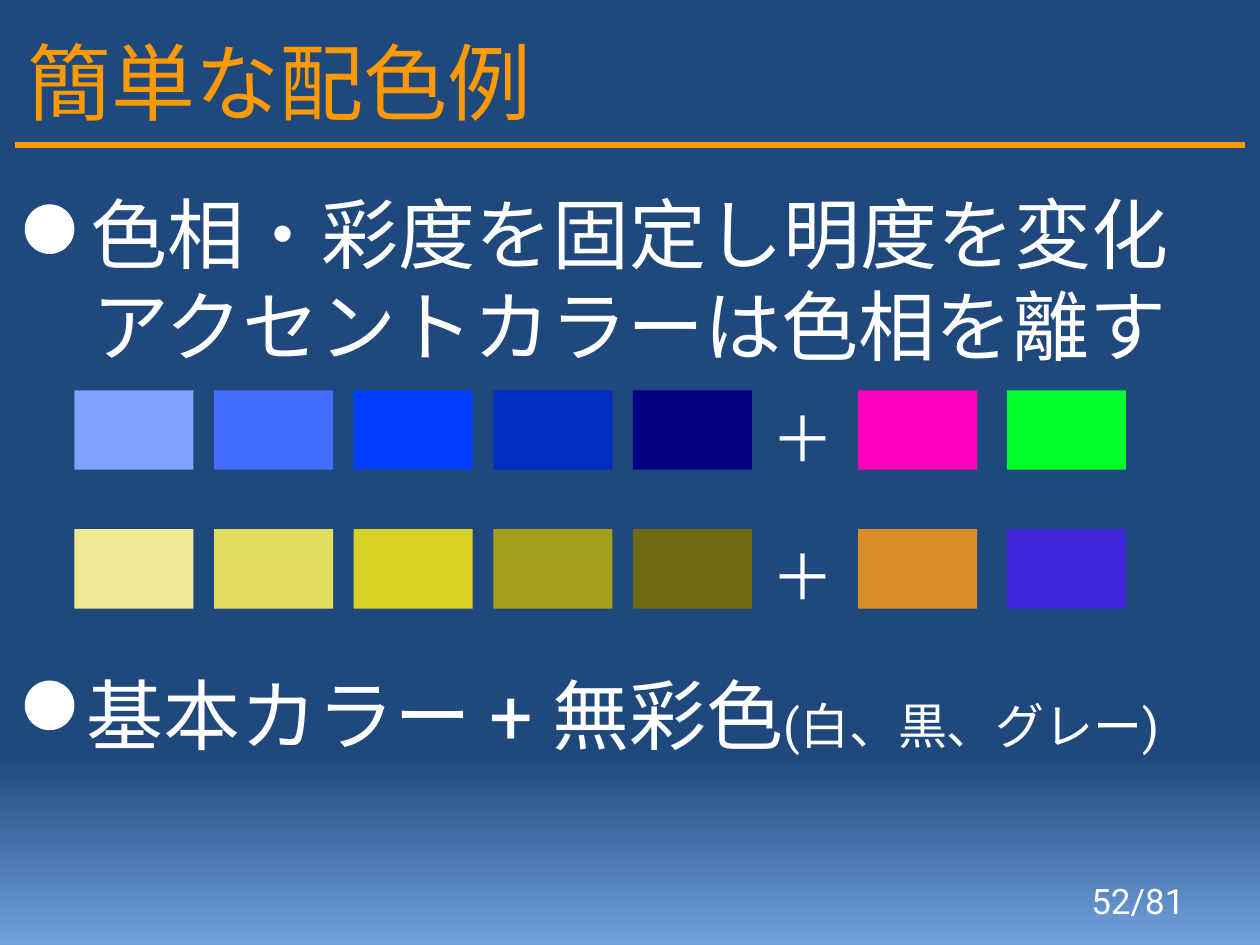
from typing import NamedTuple

from lxml import etree
from pptx import Presentation
from pptx.dml.color import RGBColor
from pptx.enum import shapes, text
from pptx.oxml import ns
from pptx.util import Cm, Pt

WHITE, ORANGE, NAVY, SKY = "FFFFFF", "FF9900", "1F497D", "71A1DC"
SWATCH_WIDTH, SWATCH_HEIGHT = 2.4, 1.6
SHADES_LEFT, SHADE_STEP = 1.5, 2.815
ACCENTS_LEFT, ACCENT_STEP = 17.3, 3.0
BULLET_LEFT, BULLET_SIZE = 0.5, 1.0


class Run(NamedTuple):
    wording: str
    size: float


class Label(NamedTuple):
    box: tuple[float, float, float, float]
    paragraphs: list[list[Run]]
    align: text.PP_ALIGN = text.PP_ALIGN.LEFT
    anchor: text.MSO_ANCHOR = text.MSO_ANCHOR.TOP


class Palette(NamedTuple):
    top: float
    shades: list[str]
    accents: list[str]


PALETTES = [
    Palette(7.87, ["819FFF", "416EFF", "013DFF", "002EC0", "000080"], ["FF01BC", "01FF2B"]),
    Palette(10.67, ["ECE894", "E3DD5D", "DAD126", "A49E1C", "6D6913"], ["DA8D26", "4026DA"]),
]
BULLET_TOPS = [4.12, 13.72]
LABELS = [
    Label((0.7, 3.63, 24, 4.01),
          [[Run("色相・彩度を固定し明度を変化", 44)],
           [Run("アクセントカラーは色相を離す", 44)]],
          text.PP_ALIGN.CENTER),
    Label((1.5, 13.34, 23.2, 2.13),
          [[Run("基本カラー + 無彩色", 44), Run("(白、黒、グレー)", 28)]]),
    Label((18.2, 17.65, 5.93, 1.02), [[Run("52/81", 20)]],
          text.PP_ALIGN.RIGHT, text.MSO_ANCHOR.MIDDLE),
]


def rgb(color: str) -> RGBColor:
    return RGBColor.from_string(color)


def set_font(font, size: float, name: str = "Roboto", color: str = WHITE) -> None:
    for attribute, value in {"size": Pt(size), "name": name}.items():
        setattr(font, attribute, value)
    font.color.rgb = rgb(color)


def paint_background(slide) -> None:
    fill = slide.background.fill
    fill.gradient()
    fill.gradient_angle = 270
    for stop, (position, color) in zip(fill.gradient_stops, [(0.8, NAVY), (1.0, SKY)]):
        stop.position = position
        stop.color.rgb = rgb(color)


def add_title(slide) -> None:
    title = slide.shapes.title
    place = {"left": 0.3, "top": 0.53, "width": 23.83, "height": 2.2}
    for attribute, length in place.items():
        setattr(title, attribute, Cm(length))
    frame = title.text_frame
    frame.text = "簡単な配色例"
    frame.auto_size = text.MSO_AUTO_SIZE.NONE
    frame.vertical_anchor = text.MSO_ANCHOR.MIDDLE
    frame.paragraphs[0].alignment = text.PP_ALIGN.LEFT
    set_font(frame.paragraphs[0].runs[0].font, 48, "Calibri", ORANGE)

    rule = slide.shapes.add_connector(
        shapes.MSO_CONNECTOR.STRAIGHT, Cm(0.3), Cm(2.92), Cm(25.1), Cm(2.92))
    rule.line.color.rgb = rgb(ORANGE)
    rule.line.width = Pt(3.5)
    etree.SubElement(rule.line._get_or_add_ln().getparent(), ns.qn("a:effectLst"))


def add_solid(slide, kind: shapes.MSO_SHAPE, left: float, top: float,
              width: float, height: float, color: str) -> None:
    solid = slide.shapes.add_shape(kind, Cm(left), Cm(top), Cm(width), Cm(height))
    solid.shadow.inherit = False
    solid.fill.solid()
    solid.fill.fore_color.rgb = rgb(color)
    solid.line.fill.background()


def add_label(slide, label: Label) -> None:
    frame = slide.shapes.add_textbox(*map(Cm, label.box)).text_frame
    frame.word_wrap = True
    frame.vertical_anchor = label.anchor
    for index, runs in enumerate(label.paragraphs):
        paragraph = frame.add_paragraph() if index else frame.paragraphs[0]
        paragraph.alignment = label.align
        for wording, size in runs:
            run = paragraph.add_run()
            run.text = wording
            set_font(run.font, size)


def add_palette(slide, palette: Palette) -> None:
    groups = [(SHADES_LEFT, SHADE_STEP, palette.shades),
              (ACCENTS_LEFT, ACCENT_STEP, palette.accents)]
    for left, step, colors in groups:
        for column, color in enumerate(colors):
            add_solid(slide, shapes.MSO_SHAPE.RECTANGLE, left + column * step,
                      palette.top, SWATCH_WIDTH, SWATCH_HEIGHT, color)
    add_label(slide, Label((15.3, palette.top + 0.05, 2, 1.8), [[Run("＋", 36)]]))


def main() -> None:
    deck = Presentation()
    deck.slide_width, deck.slide_height = Cm(25.4), Cm(19.05)
    slide = deck.slides.add_slide(deck.slide_layouts[5])
    paint_background(slide)
    add_title(slide)
    for palette in PALETTES:
        add_palette(slide, palette)
    for top in BULLET_TOPS:
        add_solid(slide, shapes.MSO_SHAPE.OVAL, BULLET_LEFT, top,
                  BULLET_SIZE, BULLET_SIZE, WHITE)
    for label in LABELS:
        add_label(slide, label)
    deck.save("out.pptx")


if __name__ == "__main__":
    main()
